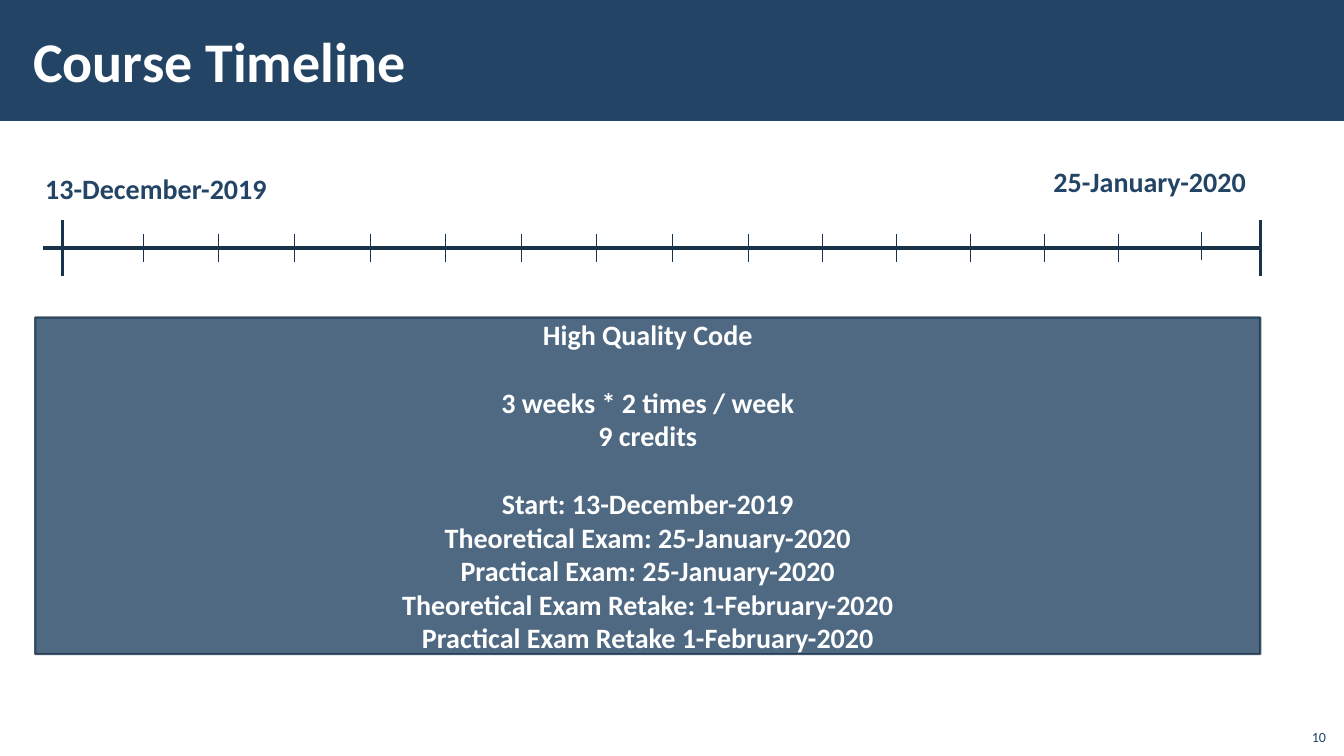
import pptx
import pptx.util
import pptx.dml.color
import pptx.enum.shapes
import pptx.enum.text
import pptx.oxml.ns
import lxml.etree

Inches = pptx.util.Inches
Pt = pptx.util.Pt
RGBColor = pptx.dml.color.RGBColor
ALIGN = pptx.enum.text.PP_ALIGN
ANCHOR = pptx.enum.text.MSO_ANCHOR
RECT = pptx.enum.shapes.MSO_SHAPE.RECTANGLE
STRAIGHT = pptx.enum.shapes.MSO_CONNECTOR.STRAIGHT
qn = pptx.oxml.ns.qn

NAVY = RGBColor(0x23, 0x44, 0x65)
DARK = RGBColor(0x1A, 0x33, 0x4C)
WHITE = RGBColor(0xFF, 0xFF, 0xFF)

TITLE = "Course Timeline"
DATES = [
    ("13-December-2019", (0.35, 1.65, 2.42, 0.44)),
    ("25-January-2020", (10.35, 1.58, 2.13, 0.44)),
]
DETAILS = [
    ["High Quality Code"],
    ["3 weeks * 2 times / week", "9 credits"],
    [
        "Start: 13-December-2019",
        "Theoretical Exam: 25-January-2020",
        "Practical Exam: 25-January-2020",
        "Theoretical Exam Retake: 1-February-2020",
        "Practical Exam Retake 1-February-2020",
    ],
]
PAGE = "10"

AXIS_Y, AXIS_LEFT, AXIS_RIGHT = 2.46, 0.43, 12.5
END_TICKS = [0.62, AXIS_RIGHT]
SMALL_TICKS = [1.42 + 0.75 * i for i in range(8)] + [7.42 + 3.67 * i / 5 for i in range(6)]
LAST_TICK, LAST_TICK_Y = 11.92, 2.46 - 0.02
GROUP_GAP = 24.4

prs = pptx.Presentation()
prs.slide_width = Inches(13.33)
prs.slide_height = Inches(7.5)
s = prs.slides.add_slide(prs.slide_layouts[6])


def add_run(p, text, size, color, bold=True):
    r = p.add_run()
    r.text = text
    r.font.name = "Calibri"
    r.font.size = Pt(size)
    r.font.bold = bold
    r.font.color.rgb = color


def add_text(box, text, size, color, bold=True, align=ALIGN.LEFT, anchor=ANCHOR.TOP, wrap=True):
    tf = s.shapes.add_textbox(*map(Inches, box)).text_frame
    tf.word_wrap = wrap
    tf.vertical_anchor = anchor
    p = tf.paragraphs[0]
    p.alignment = align
    add_run(p, text, size, color, bold)
    return tf


def add_rect(box, fill):
    sp = s.shapes.add_shape(RECT, *map(Inches, box))
    sp.shadow.inherit = False
    sp.fill.solid()
    sp.fill.fore_color.rgb = fill
    return sp


def add_line(x1, y1, x2, y2, width):
    cx = s.shapes.add_connector(STRAIGHT, *map(Inches, (x1, y1, x2, y2)))
    cx.line.color.rgb = DARK
    cx.line.width = Pt(width)
    lxml.etree.SubElement(cx._element.spPr, qn("a:effectLst"))


def add_tick(x, half, width, y=AXIS_Y):
    add_line(x, y - half, x, y + half, width)


add_rect((0, 0, 13.33, 1.2), NAVY).line.fill.background()
tf = add_text((0.21, 0.11, 10.63, 0.97), TITLE, 40, WHITE, anchor=ANCHOR.MIDDLE)
tf.margin_left = tf.margin_right = Inches(0.12)
tf.margin_top = tf.margin_bottom = Inches(0.04)

for text, box in DATES:
    add_text(box, text, 20, NAVY, wrap=False)

panel = add_rect((0.35, 3.15, 12.15, 3.34), NAVY)
panel.line.color.rgb = DARK
panel.line.width = Pt(1.5)
for clr in list(panel._element.spPr.iter(qn("a:srgbClr"))):
    lxml.etree.SubElement(clr, qn("a:alpha"), val="80000")
tf = panel.text_frame
tf.word_wrap = True
tf.vertical_anchor = ANCHOR.MIDDLE
p = tf.paragraphs[0]
for g, group in enumerate(DETAILS):
    for i, text in enumerate(group):
        if g or i:
            p = tf.add_paragraph()
        p.alignment = ALIGN.CENTER
        if g and i == 0:
            p.space_before = Pt(GROUP_GAP)
        add_run(p, text, 20, WHITE)

add_line(AXIS_LEFT, AXIS_Y, AXIS_RIGHT, AXIS_Y, 2.25)
for x in END_TICKS:
    add_tick(x, 0.28, 2.25)
for x in SMALL_TICKS:
    add_tick(x, 0.14, 0.5)
add_tick(LAST_TICK, 0.14, 0.5, LAST_TICK_Y)

add_text((12.85, 7.12, 0.4, 0.32), PAGE, 10, NAVY, False, ALIGN.RIGHT, ANCHOR.BOTTOM)

prs.save("out.pptx")
